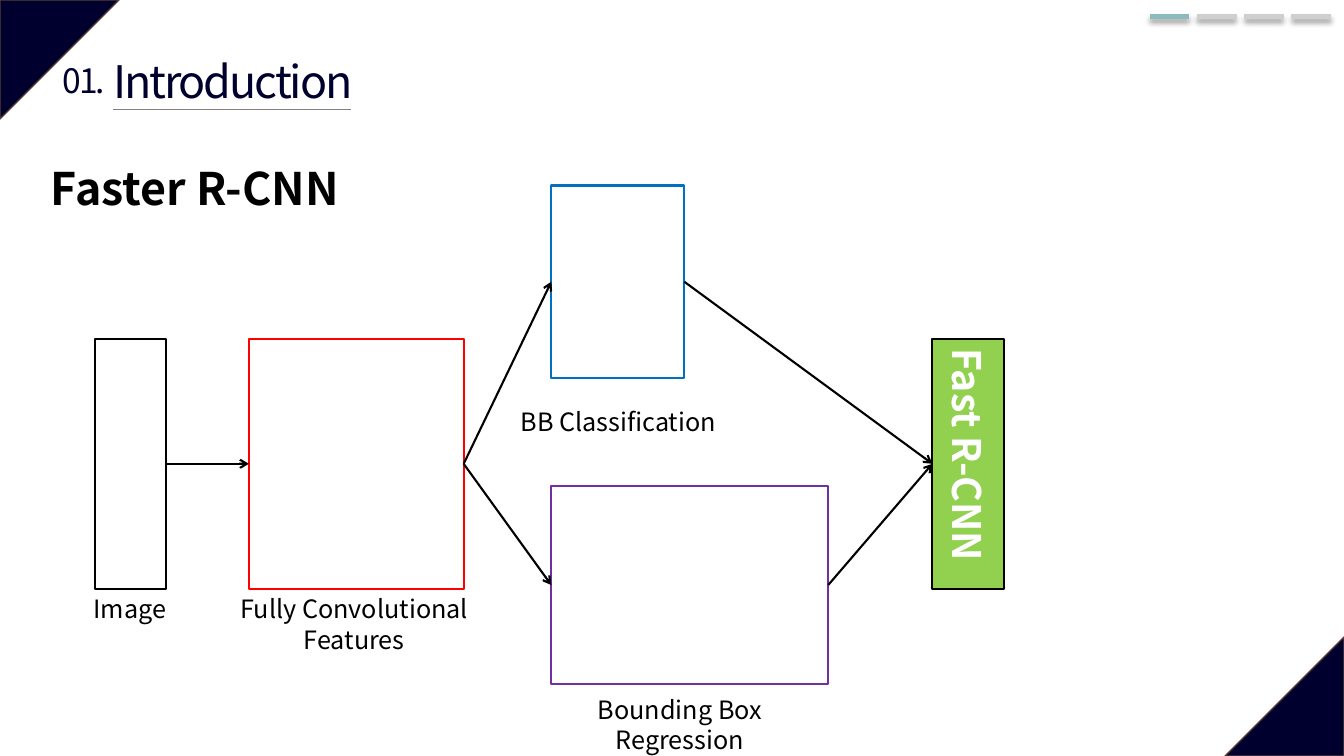
import pptx
import pptx.util
import pptx.dml.color
import pptx.enum.shapes
import pptx.enum.text
import pptx.oxml
import pptx.oxml.ns
import lxml.etree

Pt = pptx.util.Pt
Color = pptx.dml.color.RGBColor.from_string
Shape = pptx.enum.shapes.MSO_SHAPE
qn = pptx.oxml.ns.qn

theme = {
    "font": "Noto Sans CJK KR",
    "navy": "00002F", "brown": "5B3F33", "gray": "808080",
    "teal": "8DBABD", "silver": "D0CECE", "black": "000000",
    "white": "FFFFFF", "red": "FF0000", "blue": "0070C0",
    "purple": "7030A0", "green": "92D050",
    "title": 32, "number": 24, "label": 18, "detector": 28,
}


def write(box, text, size, color, bold=False, spacing=None):
    para = box.text_frame.paragraphs[0]
    para.text = text
    para.alignment = pptx.enum.text.PP_ALIGN.CENTER
    para.font.name = theme["font"]
    para.font.size = Pt(theme[size])
    para.font.bold = bold
    para.font.color.rgb = Color(theme[color])
    if spacing:
        para.font._element.set("spc", str(spacing))


def draw_line(start, end, color, width):
    line = page.shapes.add_connector(
        pptx.enum.shapes.MSO_CONNECTOR.STRAIGHT, *[Pt(v) for v in start + end])
    line.line.color.rgb = Color(theme[color])
    line.line.width = Pt(width)
    effects = lxml.etree.SubElement(line._element.spPr, qn("a:effectLst"))
    return line, effects


deck = pptx.Presentation()
deck.slide_width, deck.slide_height = Pt(960), Pt(540)
page = deck.slides.add_slide(deck.slide_layouts[6])

corner = 85
for left, top, turn in [(0, 0, 90), (960 - corner, 540 - corner, 270)]:
    triangle = page.shapes.add_shape(
        Shape.ISOSCELES_TRIANGLE, Pt(left), Pt(top), Pt(corner), Pt(corner))
    triangle.adjustments[0] = 0
    triangle.rotation = turn
    triangle.shadow.inherit = False
    triangle.fill.solid()
    triangle.fill.fore_color.rgb = Color(theme["navy"])
    triangle.line.color.rgb = Color(theme["brown"])
    triangle.line.width = Pt(1)

draw_line((80.6, 78), (250.6, 78), "gray", 0.5)

for step in range(4):
    left = 821.3 + step * 33.7
    bar, effects = draw_line(
        (left, 11.5), (left + 28.3, 11.5), "silver" if step else "teal", 3.5)
    shadow = lxml.etree.SubElement(
        effects, qn("a:outerShdw"), blurRad=str(Pt(4)), dist=str(Pt(3)),
        dir="5400000", algn="t", rotWithShape="0")
    tint = lxml.etree.SubElement(shadow, qn("a:srgbClr"), val=theme["black"])
    lxml.etree.SubElement(tint, qn("a:alpha"), val="40000")

stages = {
    "image": (67.7, 242, 51, 178.6, "black", None),
    "features": (177.8, 242, 153.4, 178.6, "red", None),
    "classification": (393.8, 132.5, 95, 137.5, "blue", None),
    "regression": (393.8, 347, 197.8, 141.8, "purple", None),
    "detector": (666, 242, 51, 178.6, "black", "green"),
}
boxes = {}
for name, (left, top, width, height, outline, fill) in stages.items():
    box = page.shapes.add_shape(
        Shape.RECTANGLE, Pt(left), Pt(top), Pt(width), Pt(height))
    box.shadow.inherit = False
    box.line.color.rgb = Color(theme[outline])
    box.line.width = Pt(1.5)
    if fill:
        box.fill.solid()
        box.fill.fore_color.rgb = Color(theme[fill])
    else:
        box.fill.background()
    boxes[name] = box

detector = boxes["detector"]
write(detector, "Fast R-CNN", "detector", "white", bold=True)
detector.text_frame.vertical_anchor = pptx.enum.text.MSO_ANCHOR.MIDDLE
detector.text_frame._txBody.bodyPr.set("vert", "eaVert")

flows = [
    ("image", "features"),
    ("features", "classification"),
    ("features", "regression"),
    ("classification", "detector"),
    ("regression", "detector"),
]
for source, target in flows:
    arrow, effects = draw_line((0, 0), (0, 0), "black", 1.5)
    arrow.begin_connect(boxes[source], 3)
    arrow.end_connect(boxes[target], 1)
    lxml.etree.SubElement(
        arrow.line._get_or_add_ln(), qn("a:tailEnd"), type="arrow")

texts = [
    ("Introduction", 68.4, 34.6, 195.8, 46, "title", "navy", False, -150, False),
    ("01.", 36, 39.6, 48.2, 36, "number", "navy", False, -150, False),
    ("Faster R-CNN", 26.6, 110.9, 225.4, 46, "title", "black", True, None, False),
    ("Image", 59, 420.5, 67.7, 29, "label", "black", False, None, True),
    ("Fully Convolutional Features", 148.3, 420.5, 209.5, 51,
     "label", "black", False, None, True),
    ("BB Classification", 363.6, 286.6, 156.2, 29,
     "label", "black", False, None, True),
    ("Bounding Box Regression", 380.9, 492.5, 209.5, 51,
     "label", "black", False, None, True),
]
for text, left, top, width, height, size, color, bold, spacing, wrap in texts:
    box = page.shapes.add_textbox(Pt(left), Pt(top), Pt(width), Pt(height))
    box.text_frame.word_wrap = wrap
    box.text_frame.auto_size = pptx.enum.text.MSO_AUTO_SIZE.SHAPE_TO_FIT_TEXT
    write(box, text, size, color, bold, spacing)

deck.save("out.pptx")
